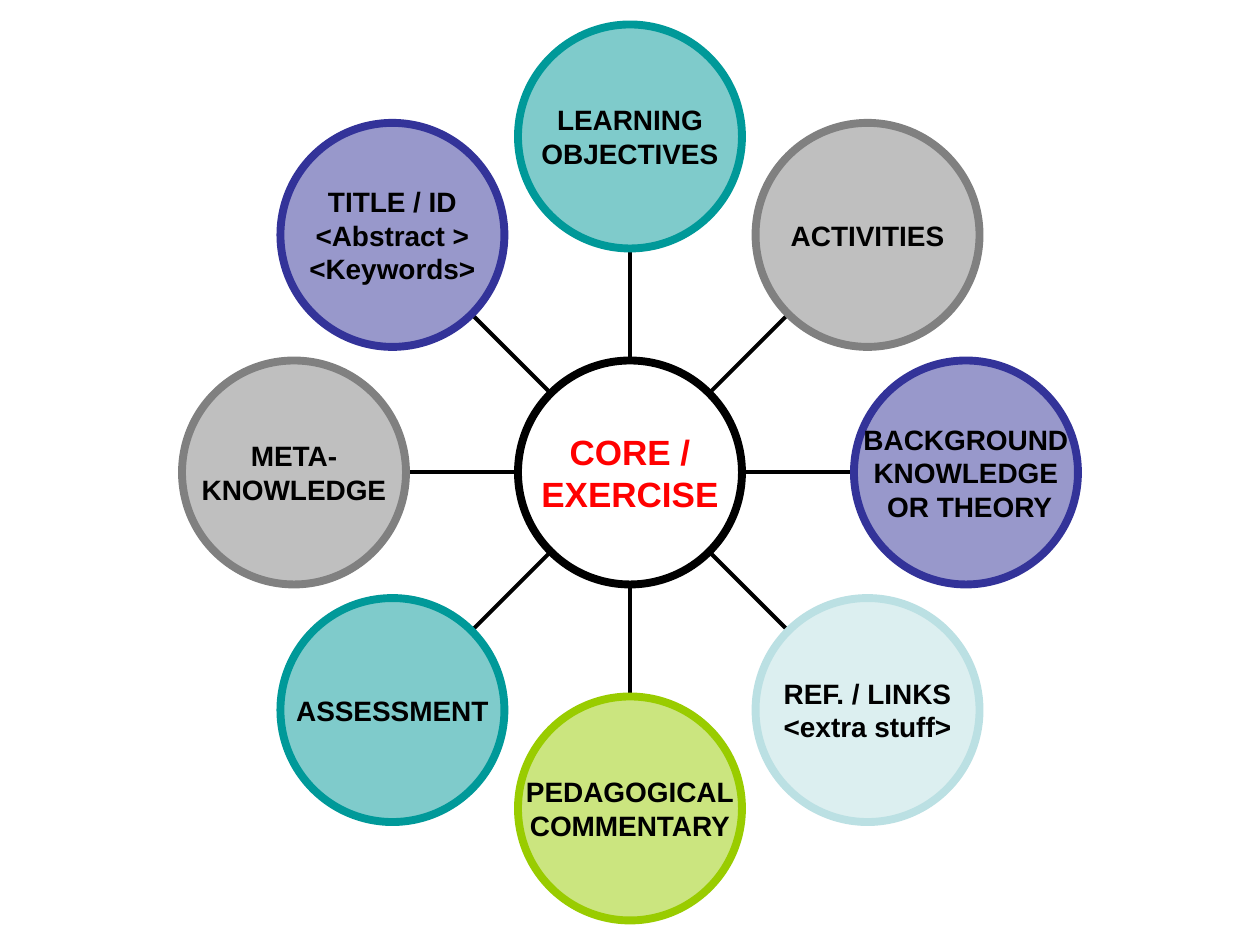
from math import cos, radians, sin

from lxml.etree import SubElement
from pptx import Presentation
from pptx.dml.color import RGBColor
from pptx.enum.shapes import MSO_CONNECTOR, MSO_SHAPE
from pptx.enum.text import MSO_ANCHOR, PP_ALIGN
from pptx.oxml.ns import qn
from pptx.util import Pt

PX = 914400 // 126
SLIDE_WIDTH, SLIDE_HEIGHT = 1260, 945
RADIUS = 112
ORBIT = 336
BLANK_LAYOUT = 6

COLORS = {
    "black": "000000",
    "white": "FFFFFF",
    "red": "FF0000",
    "teal": "009999",
    "gray": "808080",
    "indigo": "333399",
    "pale": "BBE0E3",
    "lime": "99CC00",
}

# Clockwise from the top; one string per paragraph
TOPICS = [
    (["LEARNING", "OBJECTIVES"], "teal"),
    (["ACTIVITIES"], "gray"),
    (["BACKGROUND", "KNOWLEDGE", " OR THEORY"], "indigo"),
    (["REF. / LINKS", "<extra stuff>"], "pale"),
    (["PEDAGOGICAL", "COMMENTARY"], "lime"),
    (["ASSESSMENT"], "teal"),
    (["META-", "KNOWLEDGE"], "gray"),
    (["TITLE / ID", "<Abstract >", "<Keywords>"], "indigo"),
]


def emu(pixels):
    return round(pixels * PX)


def rgb(name):
    return RGBColor.from_string(COLORS[name])


def add_label(shape, paragraphs, size, color):
    """Centre the text; a newline inside a paragraph is a line break."""
    frame = shape.text_frame
    frame.word_wrap = False
    frame.vertical_anchor = MSO_ANCHOR.MIDDLE
    frame.margin_left = frame.margin_right = 0
    frame.margin_top = frame.margin_bottom = 0
    for index, text in enumerate(paragraphs):
        paragraph = frame.add_paragraph() if index else frame.paragraphs[0]
        paragraph.alignment = PP_ALIGN.CENTER
        for number, line in enumerate(text.split("\n")):
            if number:
                paragraph.add_line_break()
            run = paragraph.add_run()
            run.text = line
            run.font.name = "Arial"
            run.font.size = Pt(size)
            run.font.bold = True
            run.font.color.rgb = rgb(color)


def add_circle(shapes, center, paragraphs, fill, outline, size=16, text_color="black"):
    x, y = center
    circle = shapes.add_shape(
        MSO_SHAPE.OVAL, emu(x - RADIUS), emu(y - RADIUS), emu(2 * RADIUS), emu(2 * RADIUS)
    )
    circle.shadow.inherit = False
    circle.fill.solid()
    circle.fill.fore_color.rgb = rgb(fill)
    fill_color = circle.element.spPr.find(qn("a:solidFill")).find(qn("a:srgbClr"))
    SubElement(fill_color, qn("a:alpha"), val="50000")
    circle.line.color.rgb = rgb(outline)
    circle.line.width = Pt(4.5)
    add_label(circle, paragraphs, size, text_color)


def add_spoke(shapes, start, end):
    spoke = shapes.add_connector(MSO_CONNECTOR.STRAIGHT, *map(emu, start + end))
    spoke.line.color.rgb = rgb("black")
    spoke.line.width = Pt(2.25)
    SubElement(spoke.element.spPr, qn("a:effectLst"))


def add_radial_diagram(slide, left, top, width, height):
    """Place the topics on a ring around the core, at the middle of the box."""
    shapes = slide.shapes.add_group_shape().shapes
    center = (left + width / 2, top + height / 2)

    def on_ring(distance, angle):
        return center[0] + distance * sin(angle), center[1] - distance * cos(angle)

    for index, (paragraphs, color) in enumerate(TOPICS):
        angle = radians(index * 360 / len(TOPICS))
        add_spoke(shapes, on_ring(RADIUS, angle), on_ring(ORBIT - RADIUS, angle))
        add_circle(shapes, on_ring(ORBIT, angle), paragraphs, color, color)
    add_circle(shapes, center, ["CORE /\nEXERCISE"], "white", "black", 20, "red")


def main():
    presentation = Presentation()
    presentation.slide_width = emu(SLIDE_WIDTH)
    presentation.slide_height = emu(SLIDE_HEIGHT)
    slide = presentation.slides.add_slide(presentation.slide_layouts[BLANK_LAYOUT])
    add_radial_diagram(slide, 0, 0, SLIDE_WIDTH, SLIDE_HEIGHT)
    presentation.save("out.pptx")


if __name__ == "__main__":
    main()
